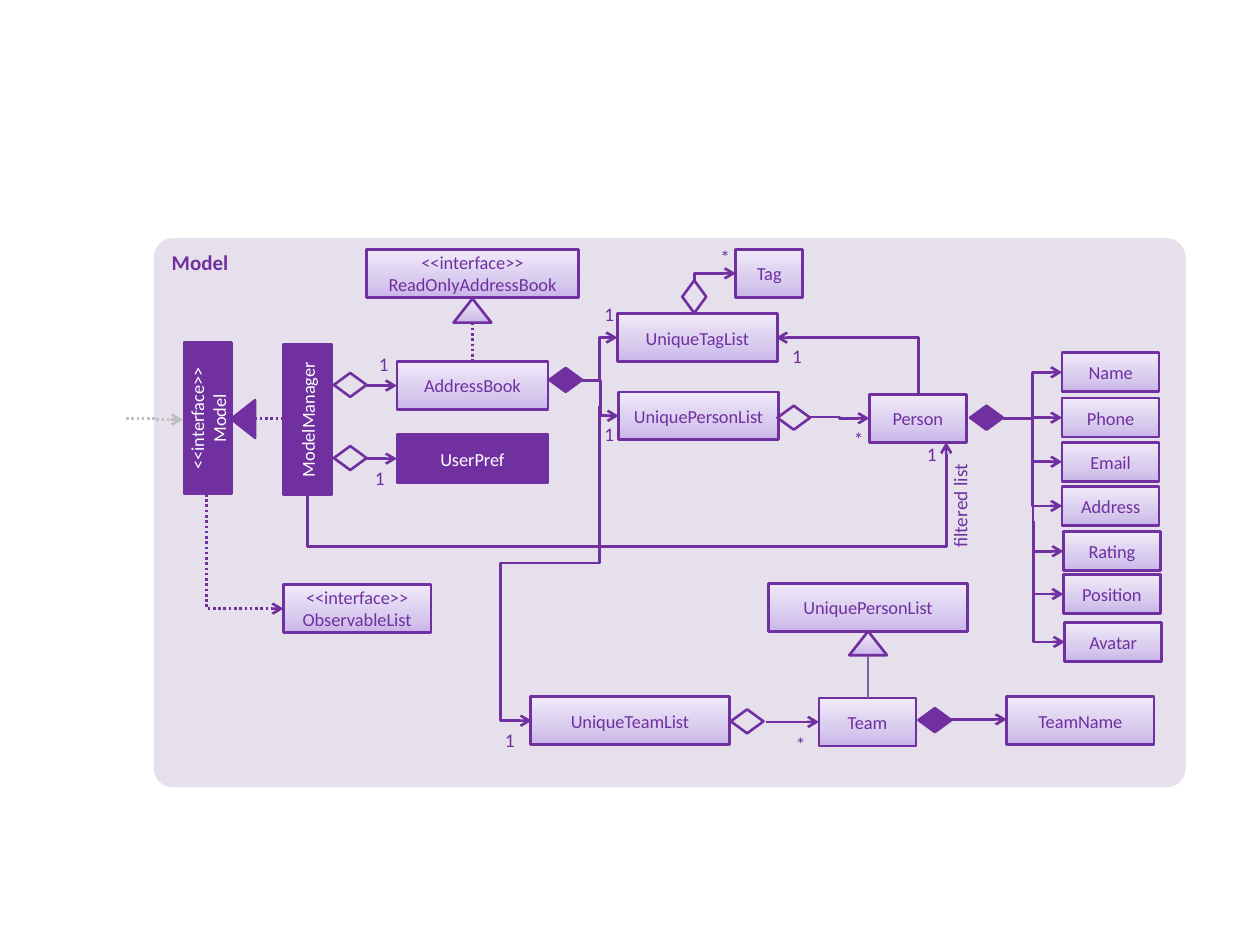
from copy import deepcopy

from lxml.etree import SubElement
from pptx import Presentation
from pptx.dml.color import RGBColor
from pptx.enum.dml import MSO_LINE
from pptx.enum.shapes import MSO_CONNECTOR, MSO_SHAPE
from pptx.enum.text import MSO_ANCHOR, PP_ALIGN
from pptx.oxml.ns import qn
from pptx.util import Inches, Pt

COLORS = {
    "purple": "7030A0", "panel": "E6E0EC", "white": "FFFFFF", "gray": "BFBFBF",
    "violet": "7D60A0", "dark": "C9B5E8", "middle": "D8CBEE", "light": "F0EAF9",
}
GRADIENT = [(0, "dark"), (0.35, "middle"), (1, "light")]
BOX_HEIGHT = 0.38
FIELD_LEFT, FIELD_WIDTH, FIELD_HEIGHT = 8.43, 0.77, 0.31

# text, left, top, width
CLASS_BOXES = [
    ("AddressBook", 3.15, 2.87, 1.2),
    ("UniquePersonList", 4.91, 3.11, 1.27),
    ("UniqueTagList", 4.9, 2.49, 1.27),
    ("Person", 6.9, 3.13, 0.77),
    ("Tag", 5.84, 1.98, 0.53),
    ("<<interface>>\vReadOnlyAddressBook", 2.91, 1.98, 1.68),
    ("<<interface>>\vObservableList", 2.25, 4.64, 1.17),
    ("Team", 6.5, 5.54, 0.77),
    ("UniquePersonList", 6.1, 4.63, 1.58),
    ("UniqueTeamList", 4.21, 5.53, 1.58),
    ("TeamName", 7.99, 5.53, 1.17),
]
# text, left, top, rotation
SOLID_BOXES = [
    ("UserPref", 3.15, 3.45, 0),
    ("ModelManager", 1.84, 3.14, 270),
    ("<<interface>>\nModel", 1.05, 3.13, 270),
]
# text, top, offset from the column's left edge
FIELDS = [
    ("Name", 2.8, 0), ("Phone", 3.16, 0), ("Email", 3.51, 0), ("Address", 3.86, 0),
    ("Rating", 4.22, 0.01), ("Position", 4.56, 0.01), ("Avatar", 4.94, 0.02),
]
# left, top, fill, rotation
DIAMONDS = [
    (2.65, 3.54, None, 0), (2.65, 2.96, None, 0), (6.17, 3.22, None, 0),
    (5.38, 2.26, None, 270), (5.8, 5.63, None, 0),
    (4.36, 2.92, "purple", 0), (7.7, 3.22, "purple", 0), (7.29, 5.62, "purple", 0),
]
# left, top, fill, rotation
TRIANGLES = [
    (1.78, 3.23, "purple", 270), (3.6, 2.37, "gradient", 0), (6.74, 5.01, "gradient", 0),
]
# text, left, top
MULTIPLICITIES = [
    ("1", 4.73, 2.4), ("1", 4.73, 3.35), ("1", 6.22, 2.73), ("*", 5.65, 1.95),
    ("*", 6.71, 3.39), ("1", 2.94, 2.8), ("1", 2.91, 3.7), ("1", 7.29, 3.51),
    ("*", 6.25, 5.81), ("1", 3.94, 5.78),
]
# begin, end
STRAIGHT_ARROWS = [((2.91, 3.64), (3.15, 3.64)), ((2.91, 3.06), (3.15, 3.06))]
ELBOW_ARROWS = [
    ((4.62, 3.02), (4.91, 3.3)), ((4.62, 3.02), (4.9, 2.68)),
    ((6.43, 3.31), (6.9, 3.32)), ((6.08, 5.73), (6.5, 5.73)),
    ((7.52, 5.71), (7.99, 5.71)),
]
CORNER_ARROWS = [((5.51, 2.23), (5.84, 2.17)), ((7.29, 3.13), (6.16, 2.68))]


def color(name):
    """Return the named colour."""
    return RGBColor.from_string(COLORS[name])


def set_fill(shape, fill):
    """Give a shape no fill, the pale gradient or a named colour."""
    if fill is None:
        shape.fill.background()
    elif fill == "gradient":
        shape.fill.gradient()
        shape.fill.gradient_angle = 90
        stop_list = shape._element.spPr.find(qn("a:gradFill")).find(qn("a:gsLst"))
        stop_list.append(deepcopy(stop_list[0]))
        for stop, (position, name) in zip(shape.fill.gradient_stops, GRADIENT):
            stop.position = position
            stop.color.rgb = color(name)
    else:
        shape.fill.solid()
        shape.fill.fore_color.rgb = color(fill)


def set_text(shape, text, size, name, alignment=PP_ALIGN.CENTER, bold=False):
    """Write text and format all its runs."""
    shape.text_frame.word_wrap = True
    shape.text_frame.text = text
    for paragraph in shape.text_frame.paragraphs:
        paragraph.alignment = alignment
        for run in paragraph.runs:
            run.font.name = "Calibri"
            run.font.size = Pt(size)
            run.font.bold = bold
            run.font.color.rgb = color(name)


def set_margins(shape, size):
    """Give a text frame equal margins on all sides."""
    frame = shape.text_frame
    frame.margin_left = frame.margin_right = Inches(size)
    frame.margin_top = frame.margin_bottom = Inches(size)


def add_symbol(slide, kind, left, top, width, height, fill, rotation=0):
    """Add an outlined preset shape."""
    shape = slide.shapes.add_shape(
        kind, Inches(left), Inches(top), Inches(width), Inches(height))
    shape.shadow.inherit = False
    shape.rotation = rotation
    set_fill(shape, fill)
    shape.line.color.rgb = color("purple")
    shape.line.width = Pt(1.5)
    return shape


def add_box(slide, text, left, top, width, height=BOX_HEIGHT,
            fill="gradient", text_color="purple", rotation=0):
    """Add a class box with a centred name."""
    box = add_symbol(slide, MSO_SHAPE.RECTANGLE, left, top, width, height, fill, rotation)
    set_margins(box, 0)
    box.text_frame.vertical_anchor = MSO_ANCHOR.MIDDLE
    set_text(box, text, 10.5, text_color)


def add_label(slide, text, left, top, width, height):
    """Add a text box for a label."""
    label = slide.shapes.add_textbox(
        Inches(left), Inches(top), Inches(width), Inches(height))
    set_text(label, text, 11, "purple")
    return label


def add_line(slide, begin, end, kind=MSO_CONNECTOR.STRAIGHT, name="purple",
             dotted=False, arrow=True):
    """Add a connector, optionally dotted or with an arrowhead."""
    connector = slide.shapes.add_connector(
        kind, *(Inches(value) for value in (*begin, *end)))
    connector.line.color.rgb = color(name)
    connector.line.width = Pt(1.5)
    if dotted:
        connector.line.dash_style = MSO_LINE.ROUND_DOT
    properties = connector._element.spPr
    if arrow:
        SubElement(properties.find(qn("a:ln")), qn("a:tailEnd"), type="arrow")
    SubElement(properties, qn("a:effectLst"))
    return connector


def add_vertical_first(slide, begin, end, adjustments=(), dotted=False):
    """Add a bent arrow that leaves vertically, as a connector turned by 90 degrees."""
    center_x, center_y = (begin[0] + end[0]) / 2, (begin[1] + end[1]) / 2
    turned = [(center_x + y - center_y, center_y - x + center_x) for x, y in (begin, end)]
    connector = add_line(slide, *turned, kind=MSO_CONNECTOR.ELBOW, dotted=dotted)
    properties = connector._element.spPr
    properties.find(qn("a:xfrm")).set("rot", str(90 * 60000))
    geometry = properties.find(qn("a:prstGeom"))
    geometry.set("prst", "bentConnector4" if adjustments else "bentConnector2")
    guides = geometry.find(qn("a:avLst"))
    for number, value in enumerate(adjustments, 1):
        SubElement(guides, qn("a:gd"), name=f"adj{number}", fmla=f"val {round(value * 100000)}")


def add_panel(slide):
    """Add the rounded background with its heading."""
    panel = add_symbol(slide, MSO_SHAPE.ROUNDED_RECTANGLE, 1.22, 1.89, 8.19, 4.36, "panel")
    panel.adjustments[0] = 0.035
    panel.line.fill.background()
    panel.text_frame.vertical_anchor = MSO_ANCHOR.TOP
    set_text(panel, "Model", 12, "purple", PP_ALIGN.LEFT, bold=True)


def add_fields(slide):
    """Add the column of Person fields and the arrows to them."""
    for index, (text, top, offset) in enumerate(FIELDS):
        left, middle = FIELD_LEFT + offset, top + FIELD_HEIGHT / 2
        add_box(slide, text, left, top, FIELD_WIDTH, FIELD_HEIGHT)
        if index < 4:
            add_line(slide, (7.96, 3.32), (left, middle), MSO_CONNECTOR.ELBOW)
        else:
            add_vertical_first(slide, (8.2, middle - 0.96), (left, middle))


def add_relations(slide):
    """Add the remaining lines between the classes."""
    for begin, end in STRAIGHT_ARROWS:
        add_line(slide, begin, end)
    for begin, end in ELBOW_ARROWS:
        add_line(slide, begin, end, MSO_CONNECTOR.ELBOW)
    for begin, end in CORNER_ARROWS:
        add_vertical_first(slide, begin, end)
    add_vertical_first(slide, (1.64, 3.92), (2.25, 4.83), dotted=True)
    add_vertical_first(slide, (2.44, 3.92), (7.51, 3.51), (-1.02, 1))
    add_vertical_first(slide, (4.76, 3.22), (4.22, 5.72), (0.5, 1.46))
    add_line(slide, (1, 3.32), (1.45, 3.33), MSO_CONNECTOR.ELBOW, "gray", dotted=True)
    add_line(slide, (2.02, 3.32), (2.26, 3.32), dotted=True, arrow=False)
    add_line(slide, (3.75, 2.56), (3.75, 2.88), dotted=True, arrow=False)
    add_line(slide, (6.89, 5.21), (6.89, 5.54), name="violet", arrow=False)


def main():
    """Build the class diagram and save it."""
    presentation = Presentation()
    presentation.slide_width, presentation.slide_height = Inches(10), Inches(7.5)
    slide = presentation.slides.add_slide(presentation.slide_layouts[6])
    add_panel(slide)
    for text, left, top, rotation in SOLID_BOXES:
        add_box(slide, text, left, top, 1.2, fill="purple", text_color="white", rotation=rotation)
    for text, left, top, width in CLASS_BOXES:
        add_box(slide, text, left, top, width)
    for left, top, fill, rotation in DIAMONDS:
        add_symbol(slide, MSO_SHAPE.FLOWCHART_DECISION, left, top, 0.26, 0.19, fill, rotation)
    for left, top, fill, rotation in TRIANGLES:
        add_symbol(slide, MSO_SHAPE.ISOSCELES_TRIANGLE, left, top, 0.3, 0.19, fill, rotation)
    add_fields(slide)
    add_relations(slide)
    for text, left, top in MULTIPLICITIES:
        set_margins(add_label(slide, text, left, top, 0.21, 0.2), 0)
    filtered_list = add_label(slide, "filtered list", 7.14, 3.92, 0.96, 0.29)
    filtered_list.rotation = 270
    filtered_list.text_frame.paragraphs[0].alignment = PP_ALIGN.RIGHT
    presentation.save("out.pptx")


main()
